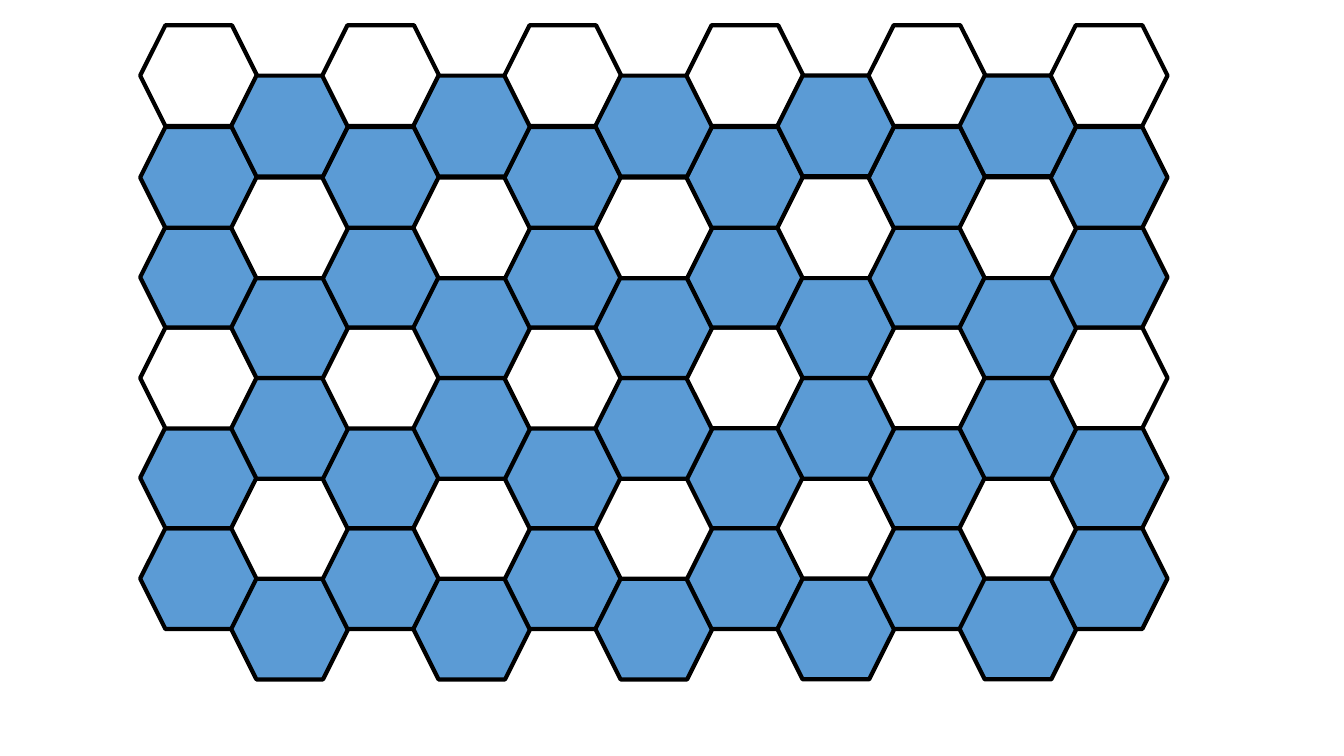
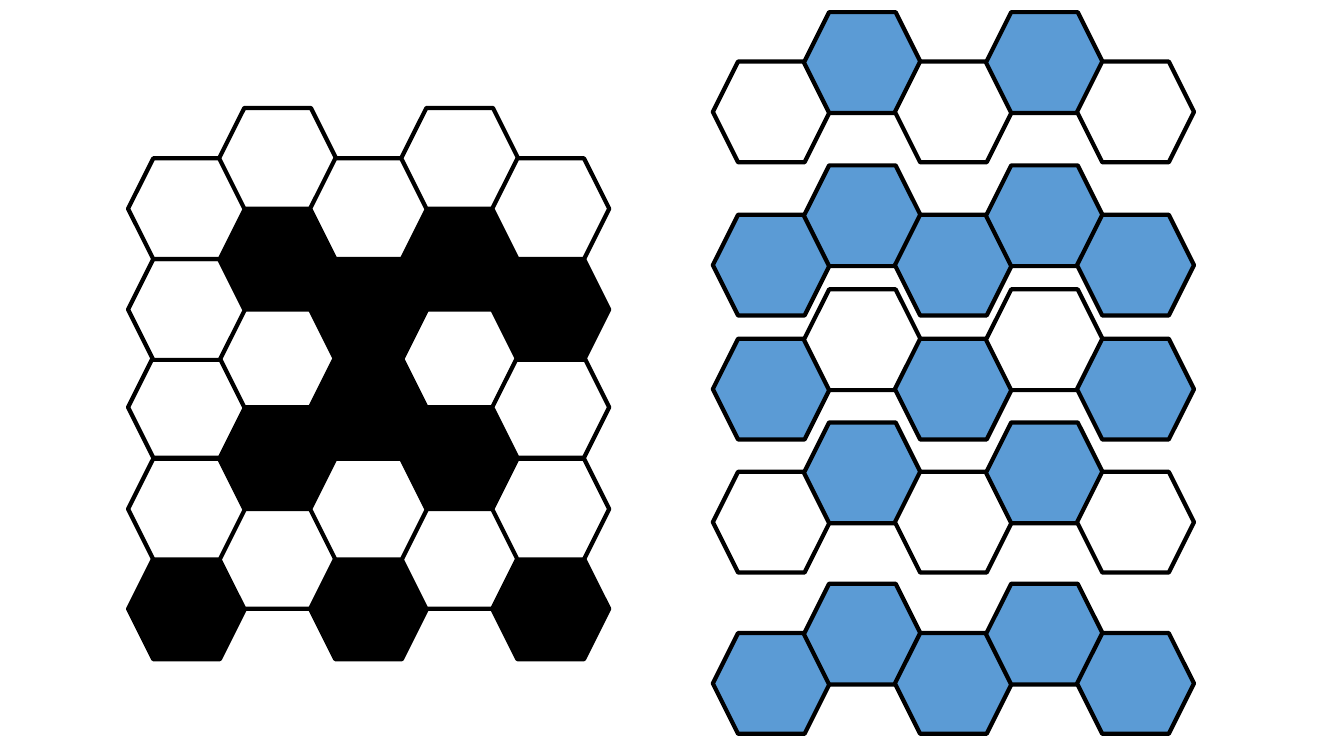
"""Build two slides of hexagon tilings."""
from pptx import Presentation
from pptx.dml.color import RGBColor
from pptx.enum.shapes import MSO_SHAPE
from pptx.util import Inches, Pt

HEXAGON = MSO_SHAPE.HEXAGON
COLORS = {"W": "FFFFFF", "B": "5B9BD5", "K": "000000", "outline": "000000"}
CELL_WIDTH, CELL_HEIGHT = 1.16, 1.0
COLUMN_STEP = 9.03 / 10
OUTLINE_WIDTH = 3
BLANK_LAYOUT = 6

WIDE_TILING = {
    "left": 1.39, "columns": 11, "turned_columns": 6, "odd_shift": 0.5,
    "rows": [(0.25, "WB"), (1.26, "BW"), (2.25, "BB"),
             (3.25, "WB"), (4.24, "BW"), (5.24, "BB")],
}
FIGURE_TILING = {
    "left": 1.27, "columns": 5, "turned_columns": 5, "odd_shift": -0.5,
    "rows": [(1.57, "WWWWW"), (2.57, "WKKKK"), (3.54, "WWKWW"),
             (4.55, "WKWKW"), (5.54, "KWKWK")],
}
SEPARATE_BANDS = {
    "left": 7.07, "columns": 5, "turned_columns": 5, "odd_shift": -0.49,
    "rows": [(0.61, "WB"), (2.13, "BB"), (3.36, "BW"),
             (4.68, "WB"), (6.28, "BB")],
}
SLIDES = [[WIDE_TILING], [FIGURE_TILING, SEPARATE_BANDS]]


def add_cell(slide, left, top, mark, rotation):
    """Add one outlined hexagon filled with the colour of its mark."""
    cell = slide.shapes.add_shape(
        HEXAGON, Inches(left), Inches(top),
        Inches(CELL_WIDTH), Inches(CELL_HEIGHT))
    cell.rotation = rotation
    cell.shadow.inherit = False
    cell.line.width = Pt(OUTLINE_WIDTH)
    for paint, color in {cell.fill: COLORS[mark],
                         cell.line.fill: COLORS["outline"]}.items():
        paint.solid()
        paint.fore_color.rgb = RGBColor.from_string(color)


def add_tiling(slide, left, columns, turned_columns, odd_shift, rows):
    """Add rows of cells, repeating each row's marks and shifting odd columns."""
    for top, marks in reversed(rows):
        for column in range(columns):
            add_cell(slide, left + column * COLUMN_STEP,
                     top + column % 2 * odd_shift,
                     marks[column % len(marks)],
                     180 if column < turned_columns else 0)


def main():
    """Build and save the presentation."""
    deck = Presentation()
    deck.slide_width, deck.slide_height = Inches(13.33), Inches(7.5)
    for tilings in SLIDES:
        slide = deck.slides.add_slide(deck.slide_layouts[BLANK_LAYOUT])
        for tiling in tilings:
            add_tiling(slide, **tiling)
    deck.save("out.pptx")


main()
